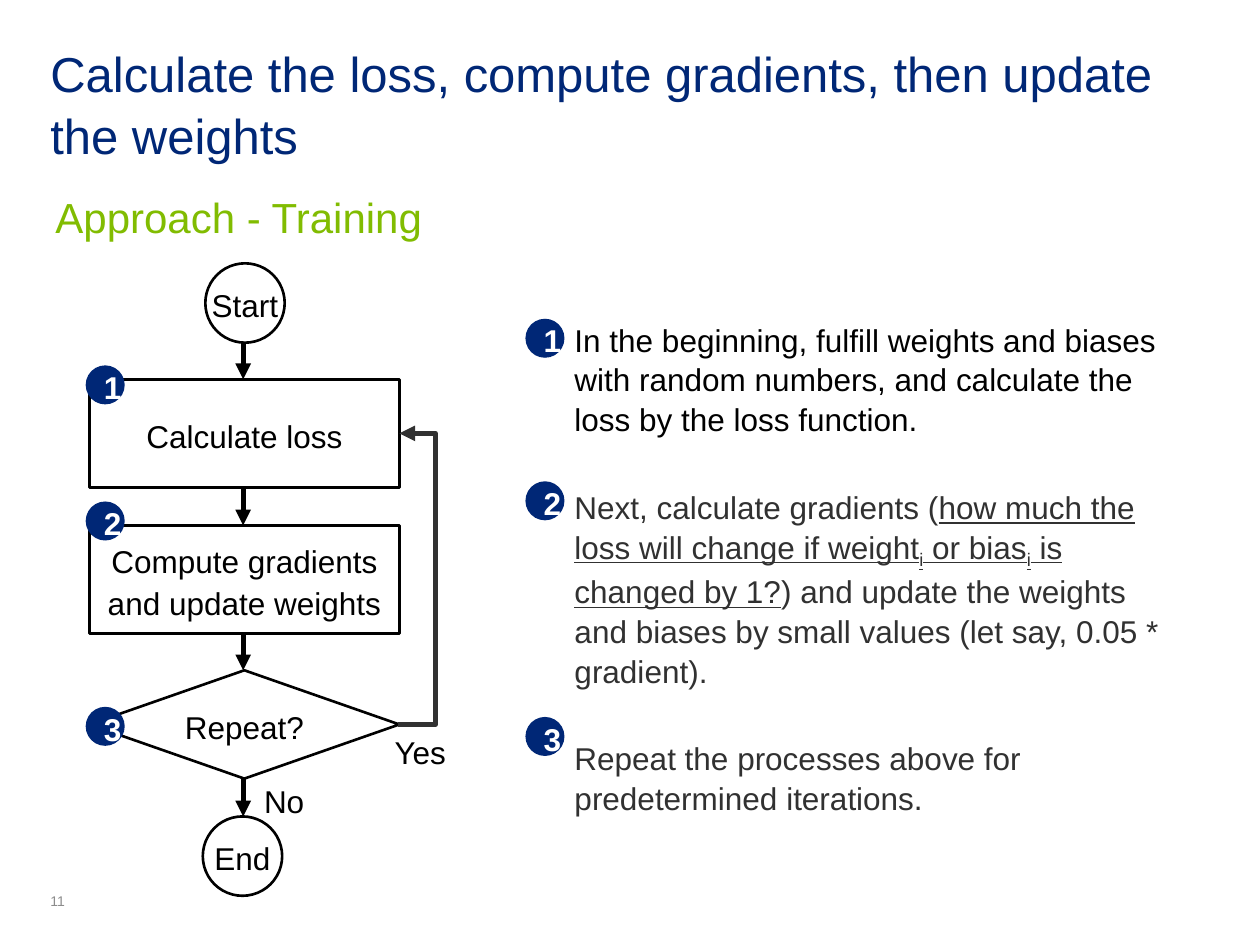
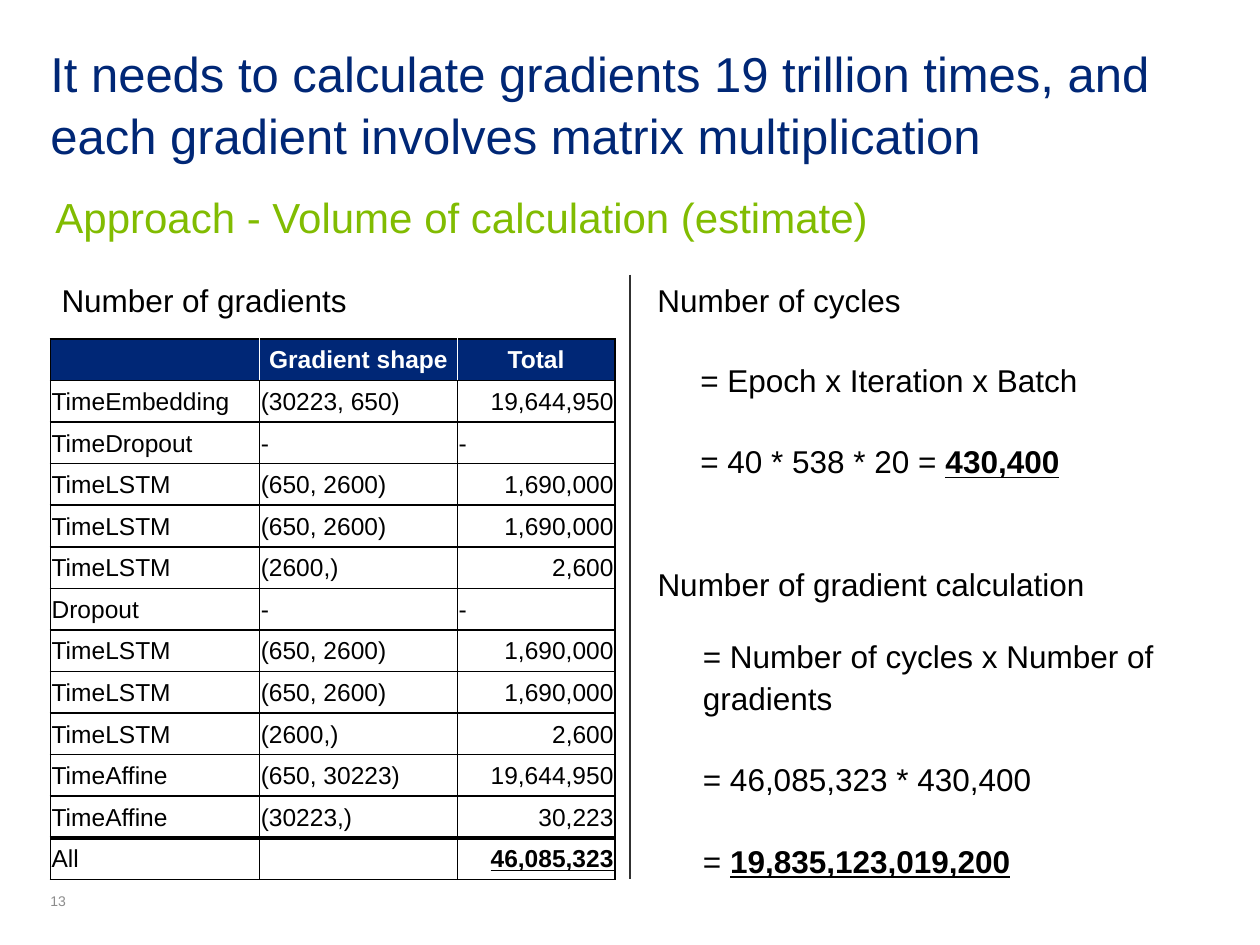
from dataclasses import dataclass
from lxml import etree
from pptx import Presentation
from pptx.dml.color import RGBColor
from pptx.enum.shapes import MSO_CONNECTOR, MSO_SHAPE
from pptx.enum.text import MSO_ANCHOR, PP_ALIGN
from pptx.oxml.ns import qn
from pptx.util import Pt

SCALE = 9144  # EMU in one px, 100 px to the inch
LINE, ELBOW = MSO_CONNECTOR.STRAIGHT, MSO_CONNECTOR.ELBOW
RECT, OVAL, DIAMOND = MSO_SHAPE.RECTANGLE, MSO_SHAPE.OVAL, MSO_SHAPE.DIAMOND
TOP, MIDDLE, BOTTOM = MSO_ANCHOR.TOP, MSO_ANCHOR.MIDDLE, MSO_ANCHOR.BOTTOM
LEFT, CENTER, RIGHT = PP_ALIGN.LEFT, PP_ALIGN.CENTER, PP_ALIGN.RIGHT


@dataclass(frozen=True)
class Theme:
    font: str = "Arial"
    navy: str = "002776"
    green: str = "81BC01"
    black: str = "000000"
    dark: str = "313131"
    gray: str = "8C8C8C"
    white: str = "FFFFFF"
    title: int = 28
    sub: int = 24
    body: int = 18
    cell: int = 14
    foot: int = 8
    tight: float = 1.05
    loose: float = 1.11


T = Theme()
BOLD = {"bold": True, "underline": True}
UNDER = {"underline": True}
LOWER = {"underline": True, "base": -25000}


def px(n):
    return round(n * SCALE)


def put(obj, fmt):
    for key, val in fmt.items():
        setattr(obj, key, val)


def paint(font, size, color, **fmt):
    put(font, {"name": T.font, "size": Pt(size), **fmt})
    font.color.rgb = RGBColor.from_string(color)


def edge(cell, side, color, width):
    """Draw one border of a table cell; side is L, R, T or B."""
    ln = etree.SubElement(cell._tc.get_or_add_tcPr(), qn("a:ln" + side), w=str(Pt(width)))
    fill = etree.SubElement(ln, qn("a:solidFill"))
    etree.SubElement(fill, qn("a:srgbClr"), val=color)


class Deck:
    def __init__(self):
        self.prs = Presentation()
        put(self.prs, {"slide_width": px(1000), "slide_height": px(750)})
        self.shapes = None

    def page(self, title, sub, num):
        self.shapes = self.prs.slides.add_slide(self.prs.slide_layouts[6]).shapes
        self.text((40, 709, 50, 13), [num], size=T.foot, color=T.gray, anchor=BOTTOM)
        self.text((40, 32, 920, 51), [title], size=T.title, color=T.navy)
        self.text((44, 150, 900, 35), [sub], size=T.sub, color=T.green)

    def typeset(self, frame, paras, size=T.body, color=T.black, align=LEFT, anchor=TOP,
                pad=(0, 0), wrap=True, space=T.tight, gap=0, bold=False):
        """Fill a frame; a paragraph is a string or a list of strings and (text, format) pairs."""
        x, y = map(px, pad)
        put(frame, {"margin_left": x, "margin_right": x, "margin_top": y, "margin_bottom": y,
                    "vertical_anchor": anchor, "word_wrap": wrap})
        for i, para in enumerate(paras):
            p = frame.add_paragraph() if i else frame.paragraphs[0]
            put(p, {"alignment": align, "line_spacing": space, "space_before": Pt(gap if i else 0)})
            for part in [para] if isinstance(para, str) else para:
                words, fmt = (part, {}) if isinstance(part, str) else part
                fmt = {"bold": bold, "color": color, **fmt}
                base = fmt.pop("base", 0)
                run = p.add_run()
                run.text = words
                paint(run.font, size, **fmt)
                if base:
                    run._r.get_or_add_rPr().set("baseline", str(base))

    def text(self, box, paras, **fmt):
        self.typeset(self.shapes.add_textbox(*map(px, box)).text_frame, paras, **fmt)

    def note(self, box, paras, **fmt):
        self.text(box, paras, pad=(10, 10), space=T.loose, **fmt)

    def node(self, kind, box, words, fill=T.white, line=T.black, pad=(10, 10), **fmt):
        shape = self.shapes.add_shape(kind, *map(px, box))
        shape.shadow.inherit = False
        shape.fill.solid()
        shape.fill.fore_color.rgb = RGBColor.from_string(fill)
        if line:
            shape.line.color.rgb = RGBColor.from_string(line)
            shape.line.width = Pt(1.5)
        else:
            shape.line.fill.background()
        self.typeset(shape.text_frame, [words], align=CENTER, anchor=MIDDLE, pad=pad,
                     space=T.loose, **fmt)

    def badge(self, x, y, num):
        self.node(OVAL, (x, y, 31, 31), str(num), fill=T.navy, line=None,
                  color=T.white, bold=True)

    def link(self, start, end, color=T.black, width=3, kind=LINE, head=True, bend=None):
        link = self.shapes.add_connector(kind, *map(px, start + end))
        link.line.color.rgb = RGBColor.from_string(color)
        link.line.width = Pt(width)
        props = link._element.spPr
        if head:
            etree.SubElement(props.find(qn("a:ln")), qn("a:tailEnd"), type="triangle")
        if bend:
            guides = props.find(qn("a:prstGeom")).find(qn("a:avLst"))
            etree.SubElement(guides, qn("a:gd"), name="adj1", fmla=f"val {bend}")
        etree.SubElement(props, qn("a:effectLst"))

    def table(self, box, cols, rows):
        grid = self.shapes.add_table(len(rows), len(cols), *map(px, box)).table
        for col, width in zip(grid.columns, cols):
            col.width = px(width)
        last = len(rows) - 1
        for r, row in enumerate(rows):
            grid.rows[r].height = px(box[3] / len(rows))
            for c, words in enumerate(row):
                self.cell(grid.cell(r, c), words, r, c, last)

    def cell(self, cell, words, r, c, last):
        top = r == 0
        put(cell, {"margin_left": px(1), "margin_right": px(1), "margin_top": px(1),
                   "margin_bottom": 0, "vertical_anchor": MIDDLE})
        edge(cell, "L", T.white if top and c else T.black, 1)
        edge(cell, "R", T.white if top and c < 2 else T.black, 1)
        edge(cell, "T", T.black, 2.25 if r == last else 1)
        edge(cell, "B", T.black, 2.25 if r == last - 1 else 1)
        if top:
            cell.fill.solid()
            cell.fill.fore_color.rgb = RGBColor.from_string(T.navy)
        else:
            cell.fill.background()
        p = cell.text_frame.paragraphs[0]
        p.alignment = CENTER if top else RIGHT if c == 2 and words != "-" else LEFT
        p.font.size = Pt(T.cell)
        if words:
            run = p.add_run()
            run.text = words
            total = r == last and c == 2
            paint(run.font, T.cell, T.white if top else T.black,
                  bold=top or total, underline=total)


def flow(deck):
    deck.page("Calculate the loss, compute gradients, then update the weights",
              "Approach - Training", "11")
    left, wide, high, mid = 71, 246, 86, 193
    tops = [301, 417, 532]
    steps = [(RECT, "Calculate loss"), (RECT, "Compute gradients and update weights"),
             (DIAMOND, "Repeat?")]
    for (kind, words), y in zip(steps, tops):
        deck.node(kind, (left, y, wide, high), words)
    for x, y, words in [(163, 209, "Start"), (161, 648, "End")]:
        deck.node(OVAL, (x, y, 63, 63), words, wrap=False)
    for y, end in zip([272] + [t + high for t in tops], tops + [648]):
        deck.link((mid, y), (mid, end))
    deck.link((316, 575), (317, 344), color=T.dark, kind=ELBOW, bend=3000000)

    dark = {"color": T.dark}
    deck.text((456, 253, 486, 380), [
        "In the beginning, fulfill weights and biases with random numbers, "
        "and calculate the loss by the loss function.",
        [("Next, calculate gradients (", dark),
         ("how much the loss will change if weight", {**dark, **UNDER}),
         ("i", {**dark, **LOWER}), (" or bias", {**dark, **UNDER}),
         ("i", {**dark, **LOWER}), (" is changed by 1?", {**dark, **UNDER}),
         (") and update the weights and biases by small values "
          "(let say, 0.05 * gradient).", dark)],
        [("Repeat the processes above for predetermined iterations.", dark)],
    ], gap=27.4)
    for x, y, words in [(289, 580, "Yes"), (181, 619, "No")]:
        deck.text((x, y, 89, 30), [words], align=CENTER)
    for x, ys in [(417, (253, 382, 569)), (68, (290, 398, 561))]:
        for num, y in enumerate(ys, 1):
            deck.badge(x, y, num)


def volume(deck):
    deck.page("It needs to calculate gradients 19 trillion times, and each gradient "
              "involves matrix multiplication",
              "Approach - Volume of calculation (estimate)", "13")
    deck.link((500, 218), (500, 698), color=T.dark, width=0.75, head=False)
    lstm = [("TimeLSTM", "(650, 2600)", "1,690,000")] * 2 + [("TimeLSTM", "(2600,)", "2,600")]
    deck.table((40, 269, 448, 429), (166, 157, 125), [
        ("", "Gradient shape", "Total"),
        ("TimeEmbedding", "(30223, 650)", "19,644,950"),
        ("TimeDropout", "-", "-"),
        *lstm,
        ("Dropout", "-", "-"),
        *lstm,
        ("TimeAffine", "(650, 30223)", "19,644,950"),
        ("TimeAffine", "(30223,)", "30,223"),
        ("All", "", "46,085,323"),
    ])
    for x, y, wide, words in [(39, 219, 266, "Number of gradients"),
                              (512, 219, 266, "Number of cycles"),
                              (512, 444, 432, "Number of gradient calculation")]:
        deck.note((x, y, wide, 35), [words], anchor=MIDDLE)
    deck.note((546, 273, 346, 174), [
        "= Epoch x Iteration x Batch",
        ["= 40 * 538 * 20 = ", ("430,400", BOLD)],
    ], gap=22.8)
    deck.note((548, 492, 412, 206), [
        "= Number of cycles x Number of gradients",
        "= 46,085,323 * 430,400",
        ["= ", ("19,835,123,019,200", BOLD)],
    ], gap=22.8)


def main():
    deck = Deck()
    flow(deck)
    volume(deck)
    deck.prs.save("out.pptx")


if __name__ == "__main__":
    main()
